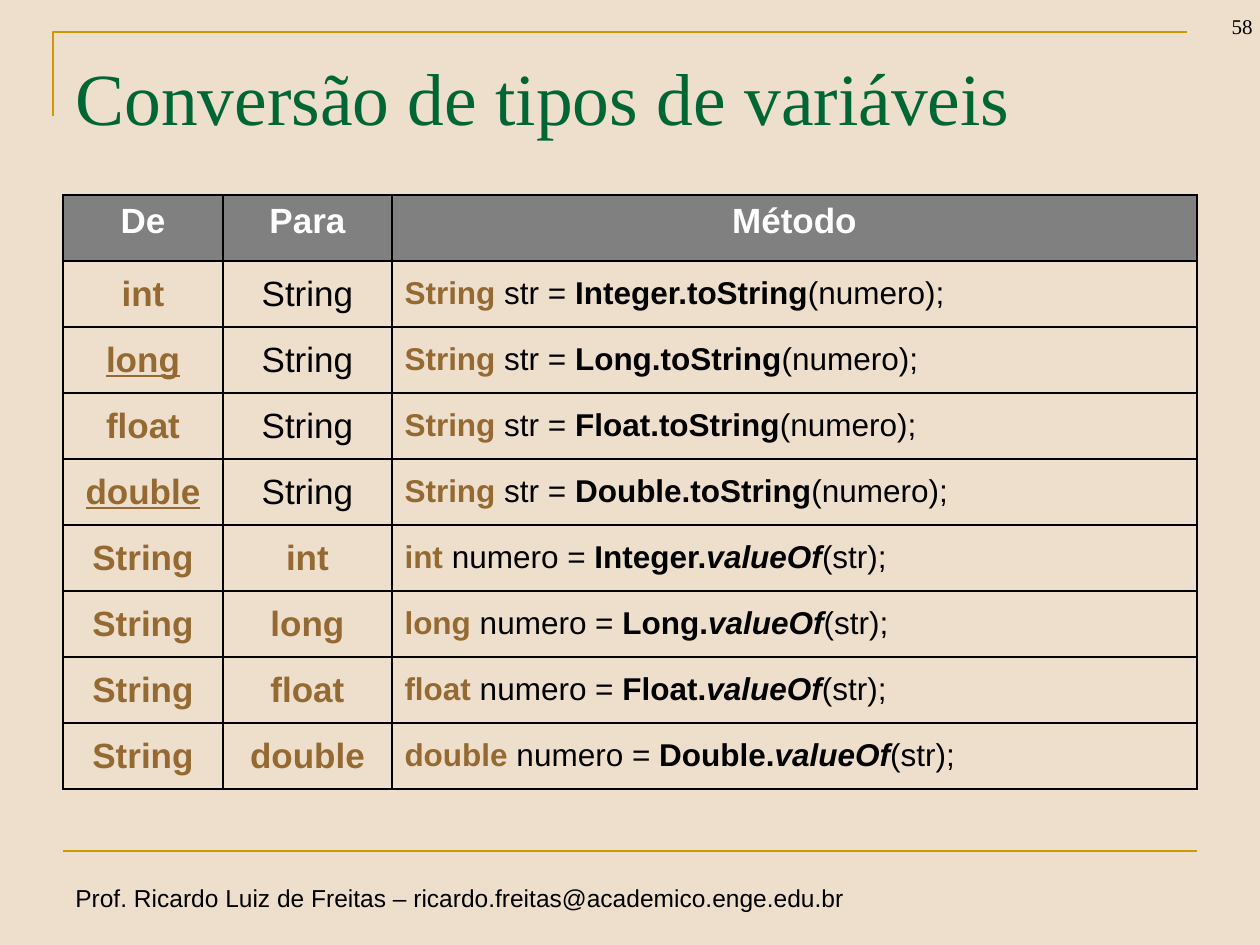
"""Slide listing how Java values convert between text and numbers."""
from dataclasses import dataclass

from lxml import etree
from pptx import Presentation
from pptx.dml.color import RGBColor
from pptx.enum.shapes import MSO_CONNECTOR
from pptx.enum.text import MSO_ANCHOR, PP_ALIGN
from pptx.oxml.ns import qn
from pptx.util import Emu, Pt

STRAIGHT = MSO_CONNECTOR.STRAIGHT
TOP, MIDDLE, BOTTOM = MSO_ANCHOR.TOP, MSO_ANCHOR.MIDDLE, MSO_ANCHOR.BOTTOM
LEFT, CENTER, RIGHT = PP_ALIGN.LEFT, PP_ALIGN.CENTER, PP_ALIGN.RIGHT
PX = 914400 / 126


@dataclass(frozen=True)
class Theme:
    paper: str = "EEDFCC"
    gold: str = "CC9900"
    green: str = "006633"
    brown: str = "946A32"
    gray: str = "808080"
    white: str = "FFFFFF"
    black: str = "000000"
    sans: str = "Arial"
    serif: str = "Times New Roman"
    title: int = 42
    cell: int = 20
    code: int = 18
    footer: int = 14
    number: int = 12
    rule: float = 1.5


theme = Theme()


def px(*lengths):
    return [Emu(round(length * PX)) for length in lengths]


def write(frame, text, size=theme.cell, color=theme.black, font=theme.sans,
          bold=False, italic=False, underline=False, align=LEFT):
    paragraph = frame.paragraphs[0]
    paragraph.alignment = align
    run = paragraph.add_run()
    run.text = text
    run.font.size = Pt(size)
    run.font.name = font
    run.font.color.rgb = RGBColor.from_string(color)
    run.font.bold = bold
    run.font.italic = italic
    run.font.underline = underline


deck = Presentation()
deck.slide_width, deck.slide_height = px(1260, 945)
slide = deck.slides.add_slide(deck.slide_layouts[6])
slide.background.fill.solid()
slide.background.fill.fore_color.rgb = RGBColor.from_string(theme.paper)

outline = slide.shapes.build_freeform(53, 116, scale=PX)
outline.add_line_segments([(53, 32), (1187, 32)], close=False)
corner = outline.convert_to_shape()
corner.shadow.inherit = False
corner.fill.background()
footer_rule = slide.shapes.add_connector(STRAIGHT, *px(63, 851, 1197, 851))
etree.SubElement(footer_rule._element.spPr, qn("a:effectLst"))
for rule in (corner, footer_rule):
    rule.line.color.rgb = RGBColor.from_string(theme.gold)
    rule.line.width = Pt(theme.rule)

captions = [
    ((63, 46, 1134, 149), TOP, "Conversão de tipos de variáveis",
     dict(size=theme.title, color=theme.green, font=theme.serif)),
    ((1170, -18, 95, 63), BOTTOM, "58",
     dict(size=theme.number, font=theme.serif, align=RIGHT)),
    ((63, 877, 804, 43), TOP,
     "Prof. Ricardo Luiz de Freitas – ricardo.freitas@academico.enge.edu.br",
     dict(size=theme.footer)),
]
for box, anchor, text, style in captions:
    frame = slide.shapes.add_textbox(*px(*box)).text_frame
    frame.word_wrap = True
    frame.vertical_anchor = anchor
    write(frame, text, **style)

keyword = dict(color=theme.brown, bold=True)
centered_keyword = dict(keyword, align=CENTER)
heading = dict(color=theme.white, bold=True, align=CENTER)
code = dict(size=theme.code)
code_keyword = dict(keyword, size=theme.code)
code_bold = dict(code, bold=True)
wrappers = {"int": "Integer", "long": "Long", "float": "Float", "double": "Double"}

rows = [[[(name, heading)] for name in ("De", "Para", "Método")]]
for kind, wrapper in wrappers.items():
    rows.append([
        [(kind, dict(centered_keyword, underline=kind in ("long", "double")))],
        [("String", dict(align=CENTER))],
        [("String", code_keyword), (" str = ", code),
         (f"{wrapper}.toString", code_bold), ("(numero);", code)],
    ])
for kind, wrapper in wrappers.items():
    rows.append([
        [("String", centered_keyword)],
        [(kind, centered_keyword)],
        [(kind, code_keyword), (" numero = ", code), (f"{wrapper}.", code_bold),
         ("valueOf", dict(code_bold, italic=True)), ("(str);", code)],
    ])

conversions = slide.shapes.add_table(len(rows), 3, *px(63, 195, 1134, 595)).table
conversions.first_row = conversions.horz_banding = False
for column, width in zip(conversions.columns, px(160, 169, 805)):
    column.width = width
for index, row in enumerate(rows):
    conversions.rows[index].height = px(66)[0]
    for column, runs in enumerate(row):
        cell = conversions.cell(index, column)
        cell.vertical_anchor = MIDDLE if index else TOP
        for side in ("lnL", "lnR", "lnT", "lnB"):
            border = etree.SubElement(cell._tc.get_or_add_tcPr(), qn(f"a:{side}"), w=str(Pt(1)))
            paint = etree.SubElement(border, qn("a:solidFill"))
            etree.SubElement(paint, qn("a:srgbClr"), val=theme.black)
        if index:
            cell.fill.background()
        else:
            cell.fill.solid()
            cell.fill.fore_color.rgb = RGBColor.from_string(theme.gray)
        for text, style in runs:
            write(cell.text_frame, text, **style)

deck.save("out.pptx")
